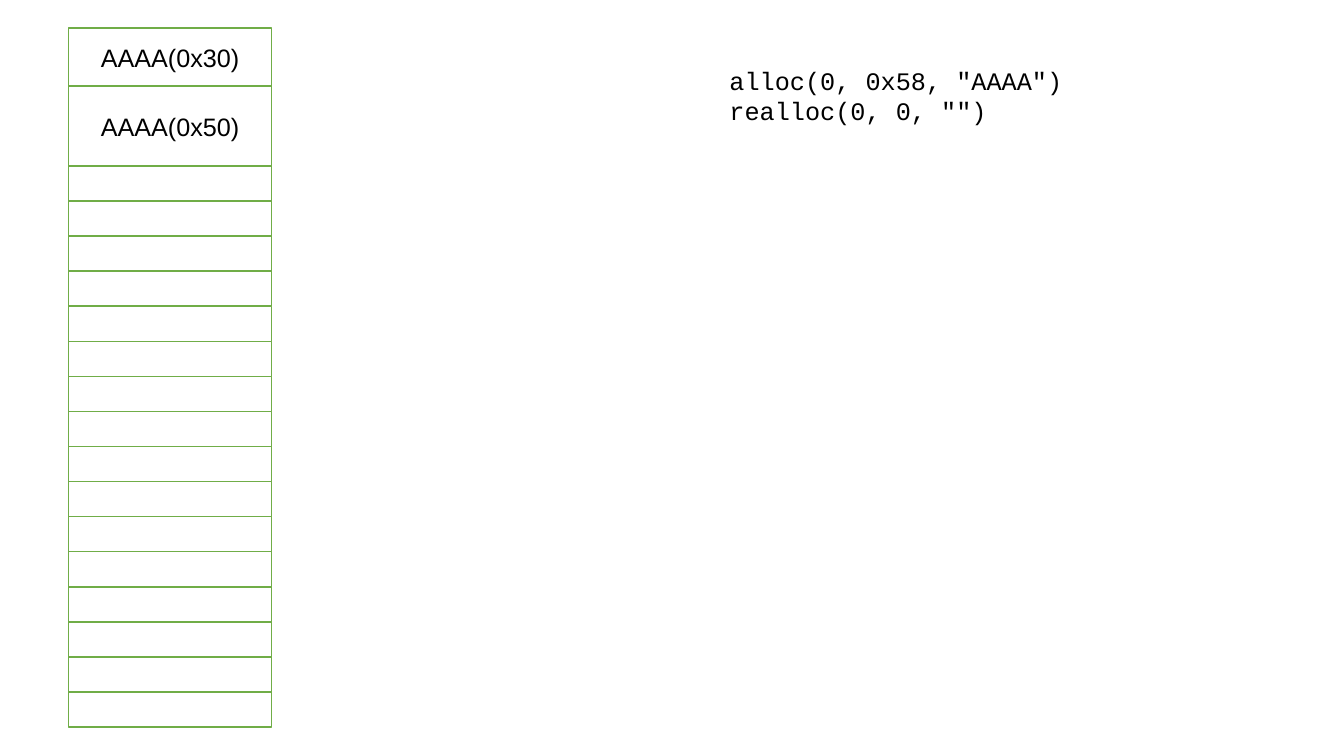
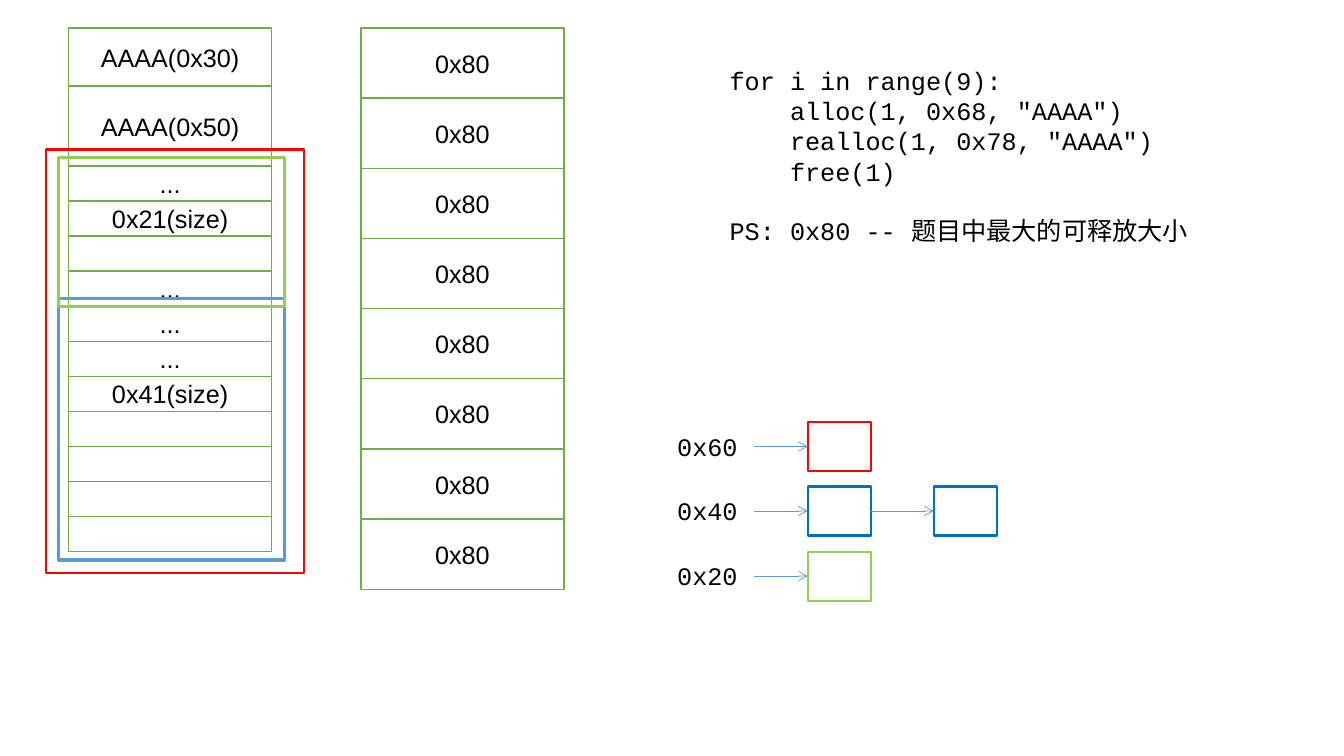
from lxml import etree
from pptx import Presentation
from pptx.dml.color import RGBColor
from pptx.enum.shapes import MSO_CONNECTOR, MSO_SHAPE
from pptx.enum.text import MSO_ANCHOR, MSO_AUTO_SIZE, PP_ALIGN
from pptx.oxml.ns import qn
from pptx.util import Pt

RECTANGLE = MSO_SHAPE.RECTANGLE
STRAIGHT = MSO_CONNECTOR.STRAIGHT
MIDDLE = MSO_ANCHOR.MIDDLE
CENTER = PP_ALIGN.CENTER
GROW = MSO_AUTO_SIZE.SHAPE_TO_FIT_TEXT
LEFT_SIDE, RIGHT_SIDE = 1, 3

COLORS = {
    "white": "FFFFFF",
    "black": "000000",
    "cell": "70AD47",
    "red": "FF0000",
    "blue": "0070C0",
    "light blue": "5B9BD5",
    "green": "92D050",
}

HEAP_LEFT, FREED_LEFT, HEAP_TOP = 49, 257.8, 20
CELL_WIDTH, ROW_HEIGHT = 145, 25.06
CODE_LEFT, CODE_TOP = 514, 43
CODE_INDENT = 43.2
LABEL_LEFT, LABEL_WIDTH, LABEL_HEIGHT = 476.6, 62, 29
CHUNK_LEFT, CHUNK_WIDTH, CHUNK_HEIGHT, CHUNK_STEP = 577, 45, 35, 90


def add_box(slide, left, top, width, height, line, weight, text="", fill="white"):
    shape = slide.shapes.add_shape(RECTANGLE, Pt(left), Pt(top), Pt(width), Pt(height))
    shape.shadow.inherit = False
    if fill:
        shape.fill.solid()
        shape.fill.fore_color.rgb = RGBColor.from_string(COLORS[fill])
    else:
        shape.fill.background()
    shape.line.color.rgb = RGBColor.from_string(COLORS[line])
    shape.line.width = Pt(weight)
    if text:
        shape.text_frame.vertical_anchor = MIDDLE
        paragraph = shape.text_frame.paragraphs[0]
        paragraph.text = text
        paragraph.alignment = CENTER
        paragraph.font.name = "Arial"
        paragraph.font.size = Pt(18)
        paragraph.font.color.rgb = RGBColor.from_string(COLORS["black"])
    return shape


def add_code(slide, left, top, width, height, lines):
    shape = slide.shapes.add_textbox(Pt(left), Pt(top), Pt(width), Pt(height))
    frame = shape.text_frame
    frame.word_wrap = True
    frame.auto_size = GROW
    for index, (level, text) in enumerate(lines):
        paragraph = frame.add_paragraph() if index else frame.paragraphs[0]
        paragraph.text = text
        paragraph.font.name = "Courier New"
        paragraph.font.size = Pt(18)
        paragraph.font.color.rgb = RGBColor.from_string(COLORS["black"])
        if level:
            paragraph._p.get_or_add_pPr().set("marL", str(Pt(level * CODE_INDENT)))
    return shape


presentation = Presentation()
presentation.slide_width = Pt(960)
presentation.slide_height = Pt(540)
blank_layout = presentation.slide_layouts[6]

allocated = [("AAAA(0x30)", 41.5), ("AAAA(0x50)", 57)]
heap_rows = [
    [""] * 16,
    ["...", "0x21(size)", "", "...", "...", "...", "0x41(size)", "", "", "", ""],
]
code_blocks = [
    (302, 51, [(0, 'alloc(0, 0x58, "AAAA")'), (0, 'realloc(0, 0, "")')]),
    (350, 94, [
        (0, "for i in range(9):"),
        (1, 'alloc(1, 0x68, "AAAA")'),
        (1, 'realloc(1, 0x78, "AAAA")'),
        (1, "free(1)"),
    ]),
]

for rows, (code_width, code_height, code_lines) in zip(heap_rows, code_blocks):
    slide = presentation.slides.add_slide(blank_layout)
    top = HEAP_TOP
    for text, height in allocated + [(row, ROW_HEIGHT) for row in rows]:
        add_box(slide, HEAP_LEFT, top, CELL_WIDTH, height, "cell", 1, text)
        top += height
    add_code(slide, CODE_LEFT, CODE_TOP, code_width, code_height, code_lines)

add_code(slide, CODE_LEFT, 150, 350, LABEL_HEIGHT, [(0, "PS: 0x80 -- 题目中最大的可释放大小")])

chunk_frames = [
    (32.6, 106.8, 184.5, 302.2, "red", 1.5),
    (41.8, 213, 161.5, 187, "light blue", 2.25),
    (41.8, 112.6, 161.5, 106.2, "green", 2.25),
]
for left, top, width, height, line, weight in chunk_frames:
    add_box(slide, left, top, width, height, line, weight, fill=None)

free_lists = [
    ("0x60", 319, "red", 1),
    ("0x40", 365, "blue", 2),
    ("0x20", 411.5, "green", 1),
]
for size, middle, line, count in free_lists:
    previous = add_code(slide, LABEL_LEFT, middle - LABEL_HEIGHT / 2,
                        LABEL_WIDTH, LABEL_HEIGHT, [(0, size)])
    for index in range(count):
        chunk = add_box(slide, CHUNK_LEFT + index * CHUNK_STEP, middle - CHUNK_HEIGHT / 2,
                        CHUNK_WIDTH, CHUNK_HEIGHT, line, 1.5)
        arrow = slide.shapes.add_connector(STRAIGHT, 0, 0, 0, 0)
        arrow.begin_connect(previous, RIGHT_SIDE)
        arrow.end_connect(chunk, LEFT_SIDE)
        arrow.line.color.rgb = RGBColor.from_string(COLORS["light blue"])
        arrow.line.width = Pt(0.5)
        etree.SubElement(arrow.line._get_or_add_ln(), qn("a:tailEnd"), type="arrow")
        etree.SubElement(arrow._element.spPr, qn("a:effectLst"))
        previous = chunk

for index in range(8):
    add_box(slide, FREED_LEFT, HEAP_TOP + index * 2 * ROW_HEIGHT,
            CELL_WIDTH, 2 * ROW_HEIGHT, "cell", 1, "0x80")

presentation.save("out.pptx")
